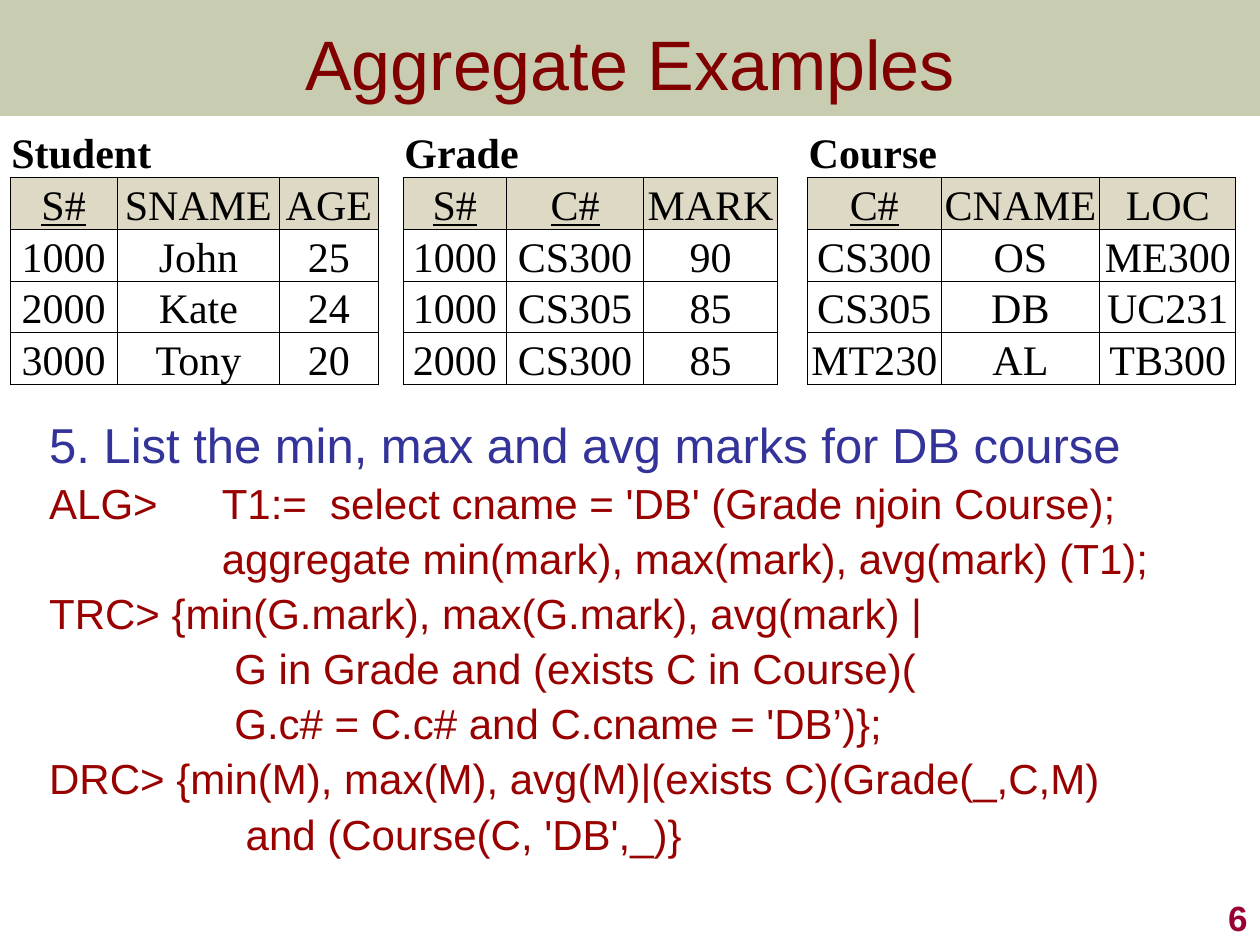
from lxml import etree
from pptx import Presentation
from pptx.dml.color import RGBColor
from pptx.enum.shapes import MSO_SHAPE
from pptx.enum.text import MSO_ANCHOR, MSO_AUTO_SIZE, PP_ALIGN
from pptx.oxml.ns import qn
from pptx.util import Inches, Pt

LEFT, CENTER, RIGHT = PP_ALIGN.LEFT, PP_ALIGN.CENTER, PP_ALIGN.RIGHT
MIDDLE, BOTTOM = MSO_ANCHOR.MIDDLE, MSO_ANCHOR.BOTTOM

OLIVE = RGBColor(0x67, 0x72, 0x28)
MAROON = RGBColor(0x80, 0x00, 0x00)
BLUE = RGBColor(0x33, 0x33, 0x99)
RED = RGBColor(0x99, 0x00, 0x00)
CRIMSON = RGBColor(0x99, 0x00, 0x33)
BEIGE = RGBColor(0xDD, 0xD9, 0xC4)
BLACK = RGBColor(0x00, 0x00, 0x00)
WHITE = RGBColor(0xFF, 0xFF, 0xFF)

# Content
TITLE = "Aggregate Examples"
PAGE_NUMBER = "6"

# Each relation: name, key columns, column widths, rows with the header first
RELATIONS = [
    ("Student", {"S#"}, (0.85, 1.29, 0.78), [
        ("S#", "SNAME", "AGE"), ("1000", "John", "25"),
        ("2000", "Kate", "24"), ("3000", "Tony", "20")]),
    ("Grade", {"S#", "C#"}, (0.82, 1.09, 1.06), [
        ("S#", "C#", "MARK"), ("1000", "CS300", "90"),
        ("1000", "CS305", "85"), ("2000", "CS300", "85")]),
    ("Course", {"C#"}, (1.06, 1.26, 1.08), [
        ("C#", "CNAME", "LOC"), ("CS300", "OS", "ME300"),
        ("CS305", "DB", "UC231"), ("MT230", "AL", "TB300")]),
]
GAPS = (0.2, 0.24)
ROW_COUNT, ROW_HEIGHT = 5, 0.38

QUESTION = "5. List the min, max and avg marks for DB course"
# Each line: text, left margin, first-line indent
QUERIES = [
    ("ALG>\tT1:=  select cname = 'DB' (Grade njoin Course);", 1.37, -1.37),
    ("aggregate min(mark), max(mark), avg(mark) (T1);", 1.37, 0),
    ("TRC> {min(G.mark), max(G.mark), avg(mark) |", 0.38, -0.38),
    ("G in Grade and (exists C in Course)(", 1.47, 0),
    ("G.c# = C.c# and C.cname = 'DB’)};", 1.47, 0),
    ("DRC> {min(M), max(M), avg(M)|(exists C)(Grade(_,C,M)", 0.38, -0.38),
    ("and (Course(C, 'DB',_)}", 1.56, 0),
]


def write(paragraph, text, size=24, color=BLACK, font="Arial", bold=False,
          underline=False, align=LEFT):
    paragraph.alignment = align
    run = paragraph.add_run()
    run.text = text
    run.font.size = Pt(size)
    run.font.name = font
    run.font.bold = bold
    run.font.underline = underline
    run.font.color.rgb = color


def place(shape, left, top, width, height):
    shape.left, shape.top = Inches(left), Inches(top)
    shape.width, shape.height = Inches(width), Inches(height)


def format_cell(cell, fill, borders):
    """Fill a cell and draw black lines on the sides named in borders."""
    cell.margin_left = cell.margin_right = cell.margin_top = Inches(0.01)
    cell.margin_bottom = 0
    cell.vertical_anchor = BOTTOM
    cell.fill.solid()
    cell.fill.fore_color.rgb = fill
    properties = cell._tc.get_or_add_tcPr()
    for position, side in enumerate("LRTB"):
        line = etree.Element(qn(f"a:ln{side}"), w=str(Pt(0.5)))
        if side in borders:
            solid = etree.SubElement(line, qn("a:solidFill"))
            etree.SubElement(solid, qn("a:srgbClr"), val=str(BLACK))
        else:
            etree.SubElement(line, qn("a:noFill"))
        properties.insert(position, line)


def add_title(slide):
    band = slide.shapes.add_shape(MSO_SHAPE.RECTANGLE, 0, 0, Inches(10), Inches(0.92))
    band.shadow.inherit = False
    band.fill.solid()
    band.fill.fore_color.rgb = OLIVE
    band.line.fill.background()
    color = band._element.spPr.find(".//" + qn("a:srgbClr"))
    etree.SubElement(color, qn("a:alpha"), val="36000")
    slide.shapes._spTree.insert(2, band._element)

    title = slide.shapes.title
    place(title, 0, 0, 10, 1)
    title.text_frame.vertical_anchor = MIDDLE
    write(title.text_frame.paragraphs[0], TITLE, size=40, color=MAROON, align=CENTER)


def add_queries(slide):
    body = slide.placeholders[1]
    place(body, 0.29, 3.33, 9.62, 4.08)
    frame = body.text_frame
    frame.auto_size = MSO_AUTO_SIZE.NONE
    frame.margin_right = 0
    lines = [(QUESTION, 0.38, -0.38, 0, 28, BLUE, 0.8)]
    lines += [(*query, 1, 24, RED, 0.9) for query in QUERIES]
    for index, (text, margin, indent, level, size, color, spacing) in enumerate(lines):
        paragraph = frame.add_paragraph() if index else frame.paragraphs[0]
        paragraph.level = level
        paragraph.line_spacing = spacing
        paragraph.space_before = Pt(5.6)
        write(paragraph, text, size=size, color=color)
        properties = paragraph._p.get_or_add_pPr()
        properties.set("marL", str(Inches(margin)))
        properties.set("indent", str(Inches(indent)))
        etree.SubElement(properties, qn("a:buNone"))


def add_relations(slide):
    widths = []
    for index, relation in enumerate(RELATIONS):
        widths += ([GAPS[index - 1]] if index else []) + list(relation[2])
    table = slide.shapes.add_table(
        ROW_COUNT, len(widths), Inches(0.08), Inches(1),
        Inches(sum(widths)), Inches(ROW_COUNT * ROW_HEIGHT)).table
    table.first_row = table.horz_banding = False
    for column, width in zip(table.columns, widths):
        column.width = Inches(width)
    for row in table.rows:
        row.height = Inches(ROW_HEIGHT)

    first = 0
    for name, keys, columns, rows in RELATIONS:
        # Relation name above its columns
        for offset in range(len(columns)):
            format_cell(table.cell(0, first + offset), WHITE, "B")
        name_cell = table.cell(0, first)
        name_cell.merge(table.cell(0, first + len(columns) - 1))
        write(name_cell.text_frame.paragraphs[0], name,
              font="Times New Roman", bold=True)
        # Header and data rows
        for row, values in enumerate(rows, start=1):
            for offset, value in enumerate(values):
                cell = table.cell(row, first + offset)
                format_cell(cell, BEIGE if row == 1 else WHITE, "LRTB")
                write(cell.text_frame.paragraphs[0], value, font="Times New Roman",
                      underline=value in keys, align=CENTER)
        # Gap before the next relation
        first += len(columns) + 1
        if first < len(widths):
            for row in range(ROW_COUNT):
                format_cell(table.cell(row, first - 1), WHITE, "LR" if row else "")


def add_page_number(slide):
    box = slide.shapes.add_textbox(Inches(7.92), Inches(7), Inches(2.08), Inches(0.5))
    box.text_frame.word_wrap = True
    box.text_frame.vertical_anchor = BOTTOM
    write(box.text_frame.paragraphs[0], PAGE_NUMBER, size=20, color=CRIMSON,
          bold=True, align=RIGHT)


def main():
    presentation = Presentation()
    presentation.slide_width, presentation.slide_height = Inches(10), Inches(7.5)
    slide = presentation.slides.add_slide(presentation.slide_layouts[1])
    add_title(slide)
    add_queries(slide)
    add_page_number(slide)
    add_relations(slide)
    presentation.save("out.pptx")


if __name__ == "__main__":
    main()
